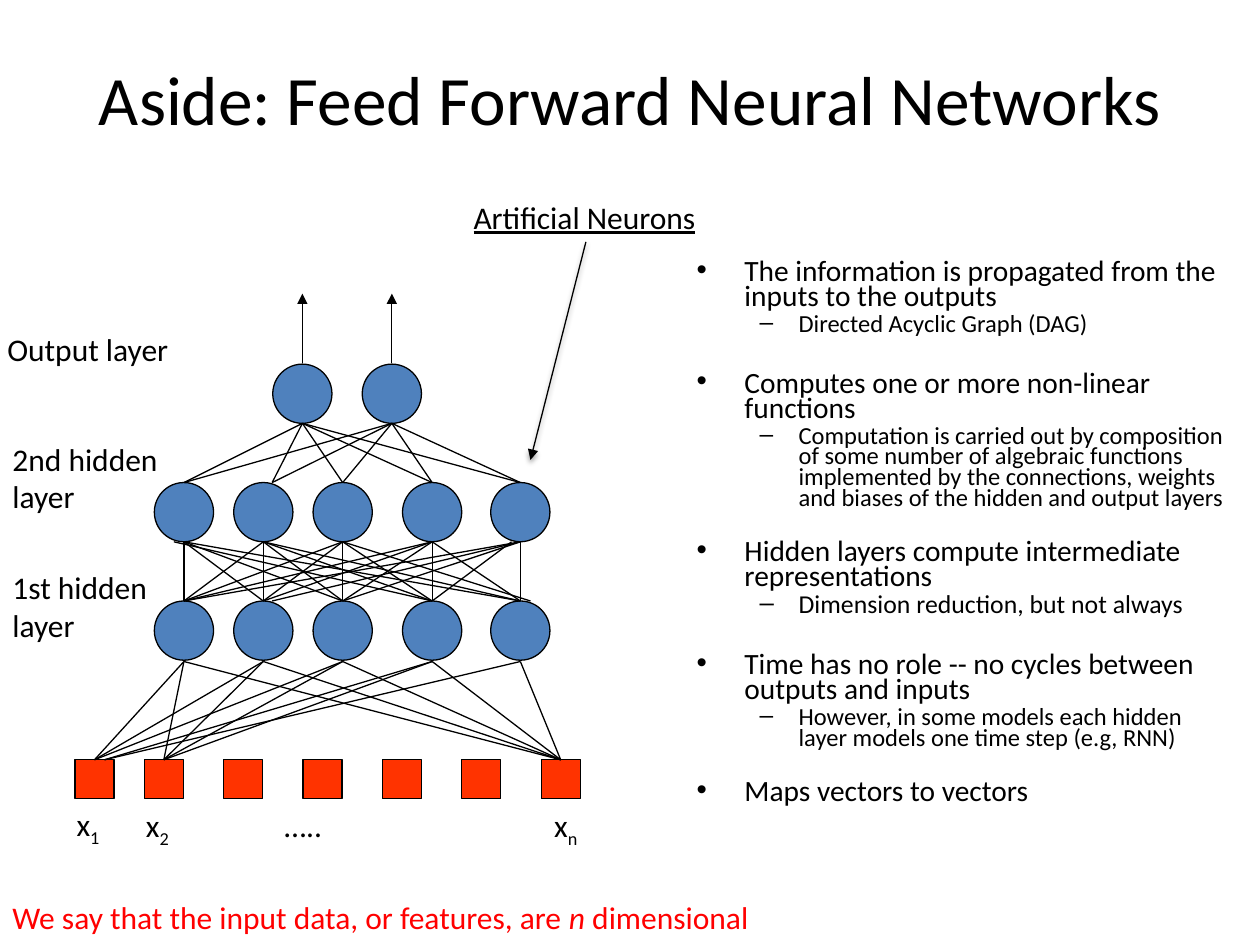
from itertools import product

from lxml.etree import SubElement
from pptx import Presentation
from pptx.dml.color import RGBColor
from pptx.enum.shapes import MSO_CONNECTOR as Connector, MSO_SHAPE as Shape
from pptx.enum.text import MSO_ANCHOR as Anchor, MSO_AUTO_SIZE as AutoSize, PP_ALIGN as Align
from pptx.oxml.ns import qn
from pptx.util import Inches, Pt

BLACK, RED, BLUE, ORANGE = "000000", "FF0000", "4F81BD", "FF3300"
NEURON, INPUT = 0.47, 0.31
OUTPUT_X = [2.4, 3.11]
HIDDEN_X = [1.46, 2.09, 2.72, 3.43, 4.13]
INPUT_X = [0.75] + [round(1.3 + 0.63 * step, 2) for step in range(6)]
OUTPUT_Y, SECOND_Y, FIRST_Y, INPUT_Y = 2.89, 3.83, 4.77, 6.03
BULLETS = [
    (0, "The information is propagated from the inputs to the outputs", 16.8, 0),
    (1, "Directed Acyclic Graph (DAG)", 14, 2.8),
    (0, "Computes one or more non-linear functions", 16.8, 21),
    (1, "Computation is carried out by composition of some number of algebraic functions "
        "implemented by the connections, weights and biases of the hidden and output layers", 14, 2.8),
    (0, "Hidden layers compute intermediate representations", 16.8, 18.2),
    (1, "Dimension reduction, but not always", 14.7, 2.8),
    (0, "Time has no role -- no cycles between outputs and inputs", 16.8, 21),
    (1, "However, in some models each hidden layer models one time step (e.g, RNN)", 14, 2.8),
    (0, "Maps vectors to vectors", 16.8, 18.2),
]
LEVELS = [("•", 0.38, -0.38), ("–", 0.81, -0.31)]


def color(value):
    """Turn a hex string into a colour."""
    return RGBColor.from_string(value)


def apply(target, values):
    """Set attributes from a dict of format values."""
    for name, value in values.items():
        setattr(target, name, value)


class NetworkSlide:
    """Hold the style and the current slide."""

    def __init__(self, presentation):
        """Add a title-only slide."""
        self.slide = presentation.slides.add_slide(presentation.slide_layouts[5])
        self.shapes = self.slide.shapes

    def run(self, paragraph, text, size=18, fill=BLACK, baseline=0, **values):
        """Add one formatted run."""
        run = paragraph.add_run()
        run.text = text
        apply(run.font, {"name": "Calibri", "size": Pt(size), **values})
        run.font.color.rgb = color(fill)
        if baseline:
            run._r.get_or_add_rPr().set("baseline", str(baseline * 1000))

    def title(self, text, left, top, width, height):
        """Place and format the title."""
        title = self.slide.shapes.title
        apply(title, {"left": Inches(left), "top": Inches(top),
                      "width": Inches(width), "height": Inches(height)})
        apply(title.text_frame, {"vertical_anchor": Anchor.MIDDLE, "auto_size": AutoSize.NONE})
        paragraph = title.text_frame.paragraphs[0]
        paragraph.alignment = Align.CENTER
        self.run(paragraph, text, 39.6)

    def frame(self, left, top, width, height, wrap, auto_size):
        """Add a text box and return its frame."""
        box = self.shapes.add_textbox(Inches(left), Inches(top), Inches(width), Inches(height))
        apply(box.text_frame, {"word_wrap": wrap, "auto_size": auto_size})
        return box.text_frame

    def label(self, lines, left, top, width, wrap=True, height=0.4):
        """Add a label whose lines are lists of text and format pairs."""
        frame = self.frame(left, top, width, height, wrap, AutoSize.SHAPE_TO_FIT_TEXT)
        for index, runs in enumerate(lines):
            paragraph = frame.add_paragraph() if index else frame.paragraphs[0]
            for text, values in runs:
                self.run(paragraph, text, **values)

    def bullets(self, items, left, top, width, height):
        """Add the two-level bullet list."""
        frame = self.frame(left, top, width, height, True, AutoSize.NONE)
        for index, (level, text, size, before) in enumerate(items):
            paragraph = frame.add_paragraph() if index else frame.paragraphs[0]
            character, margin, indent = LEVELS[level]
            properties = paragraph._p.get_or_add_pPr()
            properties.set("marL", str(Inches(margin)))
            properties.set("indent", str(Inches(indent)))
            SubElement(properties, qn("a:buFont"), typeface="Arial")
            SubElement(properties, qn("a:buChar"), char=character)
            apply(paragraph, {"level": level, "line_spacing": 0.7, "space_before": Pt(before)})
            self.run(paragraph, text, size)

    def row(self, kind, centers, top, size, fill):
        """Add a row of equal nodes."""
        for center in centers:
            node = self.shapes.add_shape(kind, Inches(center - size / 2), Inches(top),
                                         Inches(size), Inches(size))
            node.shadow.inherit = False
            node.fill.solid()
            node.fill.fore_color.rgb = color(fill)
            node.line.color.rgb = color(BLACK)
            node.line.width = Pt(0.75)

    def line(self, start, end, arrow=False, shadow=False):
        """Add a line, with an arrowhead or a shadow if wanted."""
        line = self.shapes.add_connector(Connector.STRAIGHT, *map(Inches, start + end))
        line.line.color.rgb = color(BLACK)
        line.line.width = Pt(0.75)
        if arrow:
            SubElement(line.line._get_or_add_ln(), qn("a:tailEnd"), type="triangle")
        effects = SubElement(line._element.spPr, qn("a:effectLst"))
        if shadow:
            outer = SubElement(effects, qn("a:outerShdw"), blurRad=str(Pt(3.1)),
                               dist=str(Pt(1.6)), dir="5400000", rotWithShape="0")
            shade = SubElement(outer, qn("a:srgbClr"), val=BLACK)
            SubElement(shade, qn("a:alpha"), val="38000")

    def connect(self, uppers, upper_y, lowers, lower_y, shifts, skipped=()):
        """Join every upper node to every lower node, shifting some ends."""
        for pair in product(uppers, lowers):
            if pair not in skipped:
                upper_shift, lower_shift = shifts.get(pair, (0, 0))
                self.line((pair[1] + lower_shift, lower_y), (pair[0] + upper_shift, upper_y))


def main():
    """Build and save the slide."""
    presentation = Presentation()
    apply(presentation, {"slide_width": Inches(10), "slide_height": Inches(7.5)})
    network = NetworkSlide(presentation)
    network.title("Aside: Feed Forward Neural Networks", 0.5, 0.15, 9, 1.25)
    network.bullets(BULLETS, 5.43, 2.03, 4.42, 5.07)

    for centers, top in [(HIDDEN_X, FIRST_Y), (HIDDEN_X, SECOND_Y), (OUTPUT_X, OUTPUT_Y)]:
        network.row(Shape.OVAL, centers, top, NEURON, BLUE)
    network.row(Shape.RECTANGLE, INPUT_X, INPUT_Y, INPUT, ORANGE)

    network.connect(OUTPUT_X, OUTPUT_Y + NEURON, HIDDEN_X, SECOND_Y,
                    {(center, 2.09): (0, 0.07) for center in OUTPUT_X})
    network.connect(HIDDEN_X, SECOND_Y + NEURON, HIDDEN_X, FIRST_Y,
                    {(2.72, 4.13): (0, 0.08), (4.13, 2.09): (0, 0.07),
                     (1.46, 3.43): (-0.08, 0), (4.13, 3.43): (-0.07, 0)})
    network.connect(HIDDEN_X, 5.25, [0.75, 1.3, 4.45], INPUT_Y,
                    {(center, 0.75): (0, 0.08) for center in HIDDEN_X[3:]}, [(4.13, 1.3)])
    for center in OUTPUT_X:
        network.line((center, 2.88), (center, 2.33), arrow=True)

    for subscript, left, top in [("1", 0.51, 6.34), ("2", 1.06, 6.35), ("n", 4.3, 6.35)]:
        network.label([[("x", {}), (subscript, {"baseline": -25})]], left, top, 0.4, False)
    network.label([[("…..", {})]], 2.16, 6.35, 1.96)
    for ordinal, top in [("1st", 4.46), ("2nd", 3.44)]:
        network.label([[(f"{ordinal} hidden", {})], [("layer", {})]], 0, top, 1.69, height=0.7)
    network.label([[("Output layer", {})]], -0.04, 2.57, 1.69)
    network.label([[("We say that the input data, or features, are ", {"fill": RED}),
                    ("n ", {"fill": RED, "italic": True}),
                    ("dimensional", {"fill": RED})]], 0, 7.08, 6.4, False)

    network.shapes = network.slide.shapes.add_group_shape().shapes
    network.label([[("Artificial Neurons", {"underline": True})]], 3.66, 1.52, 1.98, False)
    network.line((4.65, 1.92), (4.21, 3.65), arrow=True, shadow=True)
    presentation.save("out.pptx")


if __name__ == "__main__":
    main()
